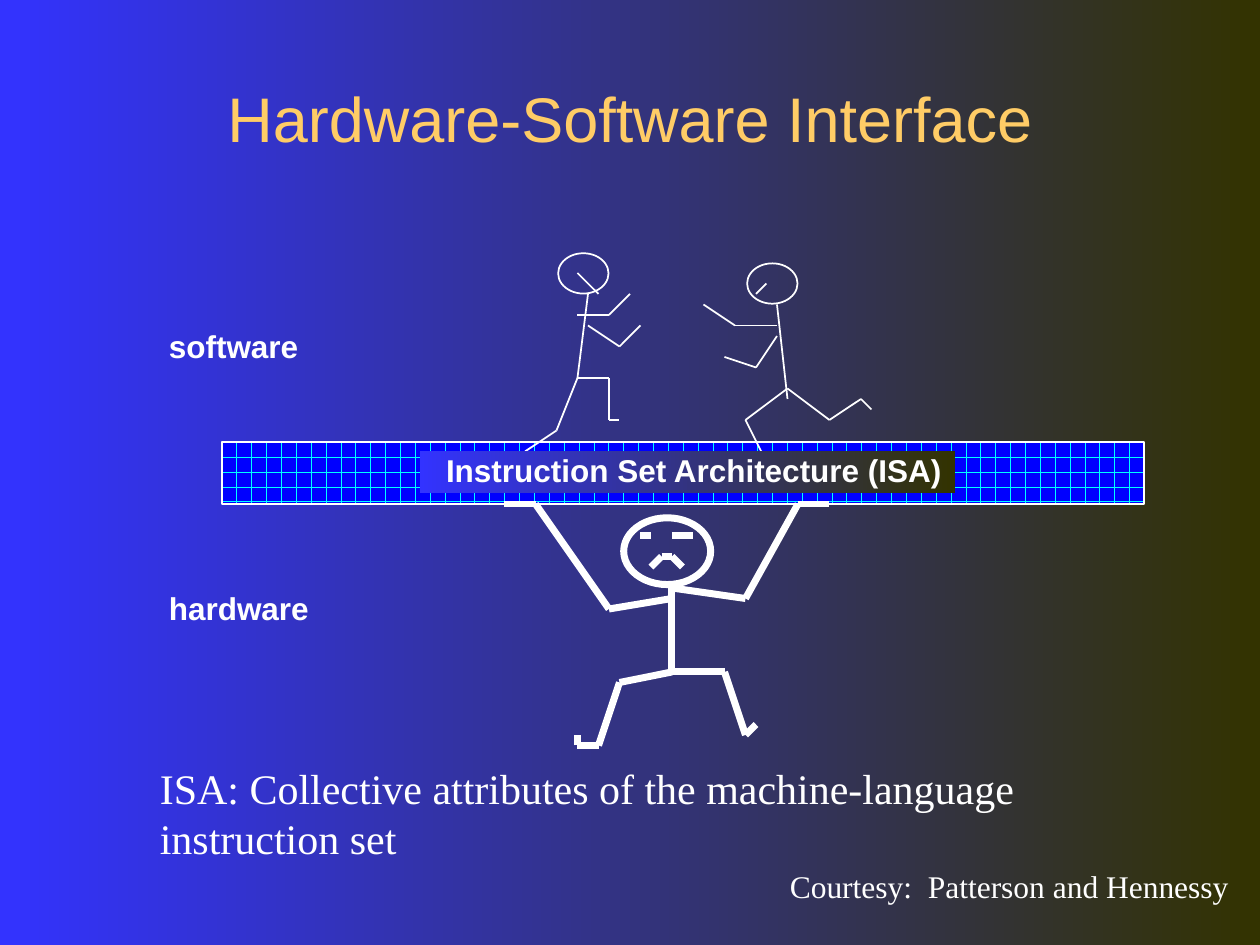
from itertools import pairwise

from lxml import etree
from pptx import Presentation
from pptx.dml.color import RGBColor
from pptx.enum.dml import MSO_PATTERN
from pptx.enum.shapes import MSO_CONNECTOR, MSO_SHAPE
from pptx.enum.text import MSO_ANCHOR, MSO_AUTO_SIZE, PP_ALIGN
from pptx.oxml.ns import qn
from pptx.util import Inches, Pt

RECTANGLE, OVAL = MSO_SHAPE.RECTANGLE, MSO_SHAPE.OVAL
STRAIGHT = MSO_CONNECTOR.STRAIGHT
BRICK = MSO_PATTERN.HORIZONTAL_BRICK
LEFT, CENTER = PP_ALIGN.LEFT, PP_ALIGN.CENTER
TOP, MIDDLE = MSO_ANCHOR.TOP, MSO_ANCHOR.MIDDLE
NO_FIT = MSO_AUTO_SIZE.NONE

color = RGBColor.from_string
WHITE, BLUE, OLIVE, GOLD = "FFFFFF", "3333FF", "333300", "FFCC66"
GRID = Inches(1) / 12  # the figures are drawn on twelfths of an inch


def write(box, text, size=18, font="Arial", ink=WHITE, bold=False, align=LEFT,
          anchor=TOP, wrap=True, spacing=1.0, margins=(0.1, 0.05, 0.1, 0.05)):
    frame = box.text_frame
    frame.word_wrap, frame.auto_size = wrap, NO_FIT
    frame.vertical_anchor = anchor
    (frame.margin_left, frame.margin_top,
     frame.margin_right, frame.margin_bottom) = map(Inches, margins)
    para = frame.paragraphs[0]
    para.alignment, para.line_spacing = align, spacing
    span = para.add_run()
    span.text = text
    span.font.name, span.font.size = font, Pt(size)
    span.font.bold, span.font.color.rgb = bold, color(ink)


def shade(fill):
    fill.gradient()
    fill.gradient_angle = 0
    for stop, tone in zip(fill.gradient_stops, (BLUE, OLIVE)):
        stop.color.rgb = color(tone)


deck = Presentation()
deck.slide_width, deck.slide_height = Inches(10), Inches(7.5)
page = deck.slides.add_slide(deck.slide_layouts[5])
shapes = page.shapes
shade(page.background.fill)

# Title
title = shapes.title
title.left, title.top = 0, Inches(0.5)
title.width, title.height = deck.slide_width, Inches(0.86)
write(title, "Hardware-Software Interface", size=36, ink=GOLD,
      align=CENTER, anchor=MIDDLE)

# Brick slab between software and hardware
slab = shapes.add_shape(RECTANGLE, Inches(1.76), Inches(3.51), Inches(7.32), Inches(0.49))
slab.shadow.inherit = False
slab.fill.patterned()
slab.fill.pattern = BRICK
slab.fill.fore_color.rgb = color("00FFFF")
slab.fill.back_color.rgb = color("0000FF")
slab.line.color.rgb, slab.line.width = color(WHITE), Pt(1)

# Stick figures: line width, head in inches, strokes as (column, row) points
left_runner = (1, (4.43, 2.01, 0.4, 0.32), [
    [(56, 28), (55, 36), (58, 36), (58, 40), (59, 40)],
    [(55, 36), (53, 41), (50, 43)],
    [(56, 31), (59, 33), (61, 31)],
    [(55, 30), (58, 30), (60, 28)],
    [(57, 28), (55, 26)],
])
right_runner = (1, (5.93, 2.09, 0.4, 0.32), [
    [(74, 29), (75, 38)],
    [(75, 37), (71, 40), (73, 44)],
    [(75, 37), (79, 40), (82, 38), (83, 39)],
    [(74, 32), (72, 35), (69, 34)],
    [(74, 31), (70, 31), (67, 29)],
    [(72, 28), (73, 27)],
])
carrier = (4, (4.95, 4.11, 0.69, 0.53), [
    [(62, 54), (63, 53), (64, 53), (65, 54)],
    [(64, 51), (66, 51)],
    [(62, 51), (61, 51)],
    [(64, 56), (64, 64), (69, 64), (71, 70), (72, 69)],
    [(64, 64), (59, 65), (57, 71), (55, 71), (55, 70)],
    [(64, 56), (71, 57), (76, 48), (79, 48)],
    [(64, 57), (58, 58), (51, 48), (48, 48)],
])
for weight, head_place, strokes in (left_runner, right_runner, carrier):
    head = shapes.add_shape(OVAL, *map(Inches, head_place))
    head.shadow.inherit = False
    head.fill.background()
    head.line.color.rgb, head.line.width = color(WHITE), Pt(weight)
    for stroke in strokes:
        for start, end in pairwise(stroke):
            ends = [round(GRID * step) for step in start + end]
            limb = shapes.add_connector(STRAIGHT, *ends)
            limb.line.color.rgb, limb.line.width = color(WHITE), Pt(weight)
            etree.SubElement(limb.element.spPr, qn("a:effectLst"))

# Label on the slab
label = shapes.add_shape(RECTANGLE, Inches(3.33), Inches(3.58), Inches(4.25), Inches(0.33))
label.shadow.inherit = False
shade(label.fill)
label.line.fill.background()
write(label, "Instruction Set Architecture (ISA)", bold=True, wrap=False,
      spacing=0.92, margins=(0.21, 0.03, 0.07, 0.03))

# Side labels
for text, top in (("software", 2.61), ("hardware", 4.69)):
    box = shapes.add_textbox(Inches(1.27), Inches(top), Inches(1.25), Inches(0.31))
    write(box, text, bold=True, wrap=False, spacing=0.85,
          margins=(0.07, 0.03, 0.07, 0.03))

# Credit and definition
for text, size, place in (
    ("Courtesy:  Patterson and Hennessy", 18, (6.17, 6.83, 3.83, 0.4)),
    ("ISA: Collective attributes of the machine-language instruction set", 24,
     (1.17, 6, 7.92, 0.91)),
):
    box = shapes.add_textbox(*map(Inches, place))
    write(box, text, size=size, font="Times New Roman")

deck.save("out.pptx")
